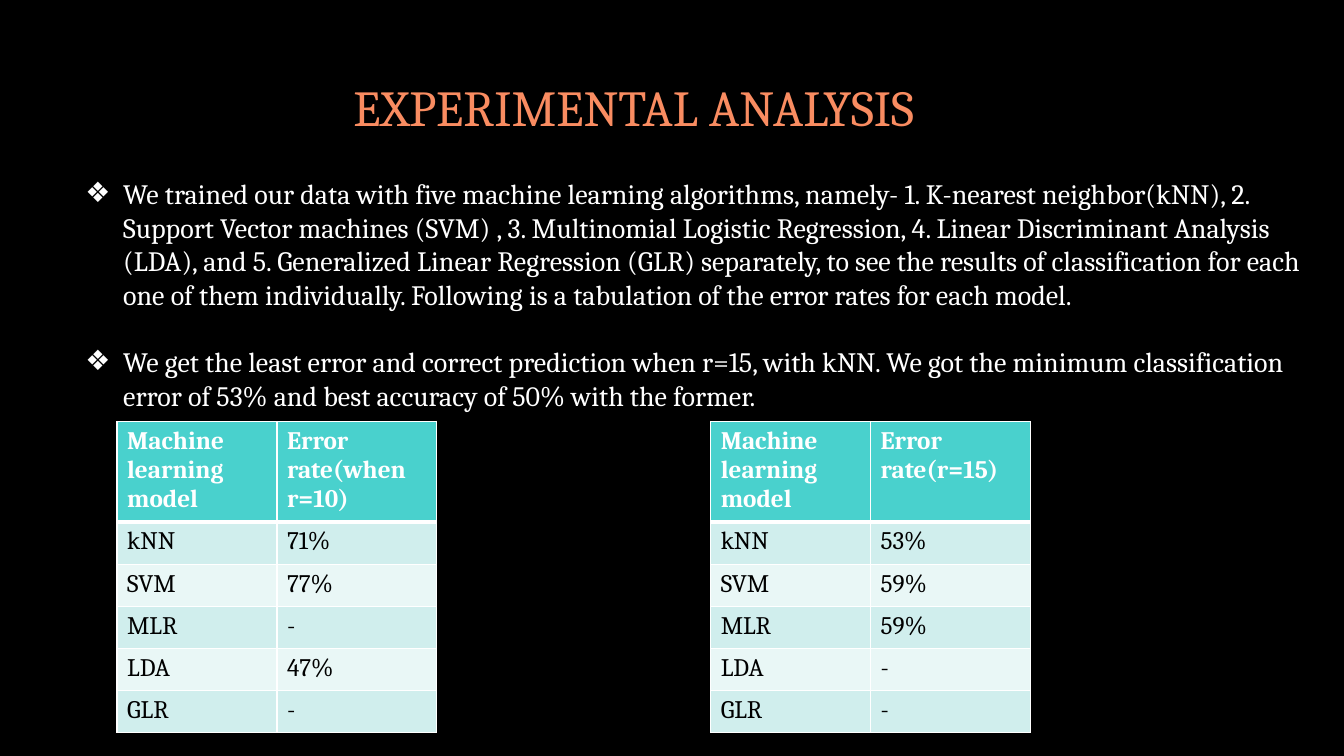
import pptx
import pptx.dml.color
import pptx.enum.text
import pptx.oxml
import pptx.oxml.ns
import pptx.util

Cm = pptx.util.Cm
Pt = pptx.util.Pt
RGB = pptx.dml.color.RGBColor.from_string

theme = {
    "font": "Cambria",
    "back": "000000", "title": "F98C61", "text": "FFFFFF",
    "head": "49D1CD", "odd": "D0EEED", "even": "E9F7F6",
    "cell": "000000", "rule": "FFFFFF",
    "title_pt": 36, "body_pt": 20, "cell_pt": 18,
}


def style(para, size, color, bold=False):
    look = {"name": theme["font"], "size": Pt(size), "bold": bold}
    for key, value in look.items():
        setattr(para.font, key, value)
    para.font.color.rgb = RGB(color)


def border(cell, side, width):
    space = pptx.oxml.ns.nsdecls("a")
    line = pptx.oxml.parse_xml(
        f'<a:ln{side} {space} w="{Pt(width)}"><a:solidFill>'
        f'<a:srgbClr val="{theme["rule"]}"/></a:solidFill></a:ln{side}>')
    cell._tc.get_or_add_tcPr().append(line)


deck = pptx.Presentation()
deck.slide_width, deck.slide_height = Cm(33.87), Cm(19.05)
slide = deck.slides.add_slide(deck.slide_layouts[1])
slide.background.fill.solid()
slide.background.fill.fore_color.rgb = RGB(theme["back"])

title, body = slide.placeholders
places = [
    (title, {"left": 1.9, "top": 0.66, "width": 28.14, "height": 4.04}),
    (body, {"left": 1.9, "top": 4.32, "width": 31.52, "height": 7.09}),
]
for shape, place in places:
    for key, value in place.items():
        setattr(shape, key, Cm(value))
    shape.text_frame.auto_size = pptx.enum.text.MSO_AUTO_SIZE.NONE
    shape.text_frame.word_wrap = True

title.text_frame.text = "EXPERIMENTAL ANALYSIS"
title.text_frame.vertical_anchor = pptx.enum.text.MSO_ANCHOR.MIDDLE
heading = title.text_frame.paragraphs[0]
heading.alignment = pptx.enum.text.PP_ALIGN.CENTER
style(heading, theme["title_pt"], theme["title"])

points = [
    "We trained our data with five machine learning algorithms, namely- "
    "1. K-nearest neighbor(kNN), 2. Support Vector machines (SVM) , "
    "3. Multinomial Logistic Regression, 4. Linear Discriminant Analysis (LDA), "
    "and 5. Generalized Linear Regression (GLR) separately, to see the results "
    "of classification for each one of them individually. Following is a "
    "tabulation of the error rates for each model.",
    "We get the least error and correct prediction when r=15, with kNN. "
    "We got the minimum classification error of 53% and best accuracy of 50% "
    "with the former.",
]
body.text_frame.text = "\n".join(points)
for para, gap in zip(body.text_frame.paragraphs, (0, 24)):
    style(para, theme["body_pt"], theme["text"])
    para.space_before = Pt(gap)
    props = para._p.get_or_add_pPr()
    props.set("marL", str(Cm(0.95)))
    props.set("indent", str(-Cm(0.95)))
    props.append(pptx.oxml.parse_xml(
        f'<a:buChar {pptx.oxml.ns.nsdecls("a")} char="❖"/>'))

models = ["kNN", "SVM", "MLR", "LDA", "GLR"]
tables = [
    (2.95, "Error rate(when r=10)", ["71%", "77%", "-", "47%", "-"]),
    (17.91, "Error rate(r=15)", ["53%", "59%", "59%", "-", "-"]),
]
for left, label, rates in tables:
    rows = [("Machine learning model", label), *zip(models, rates)]
    frame = slide.shapes.add_table(
        len(rows), 2, Cm(left), Cm(10.62), Cm(8.06), Cm(7.84))
    grid = frame.table
    for col in grid.columns:
        col.width = Cm(4.03)
    for i, row in enumerate(rows):
        head = i == 0
        grid.rows[i].height = Cm(2.54 if head else 1.06)
        fill = "head" if head else "odd" if i % 2 else "even"
        for j, text in enumerate(row):
            cell = grid.cell(i, j)
            cell.text = text
            style(cell.text_frame.paragraphs[0], theme["cell_pt"],
                  theme["text" if head else "cell"], head)
            for side in "LRTB":
                thick = (i, side) in [(0, "B"), (1, "T")]
                border(cell, side, 3 if thick else 1)
            cell.fill.solid()
            cell.fill.fore_color.rgb = RGB(theme[fill])

deck.save("out.pptx")
